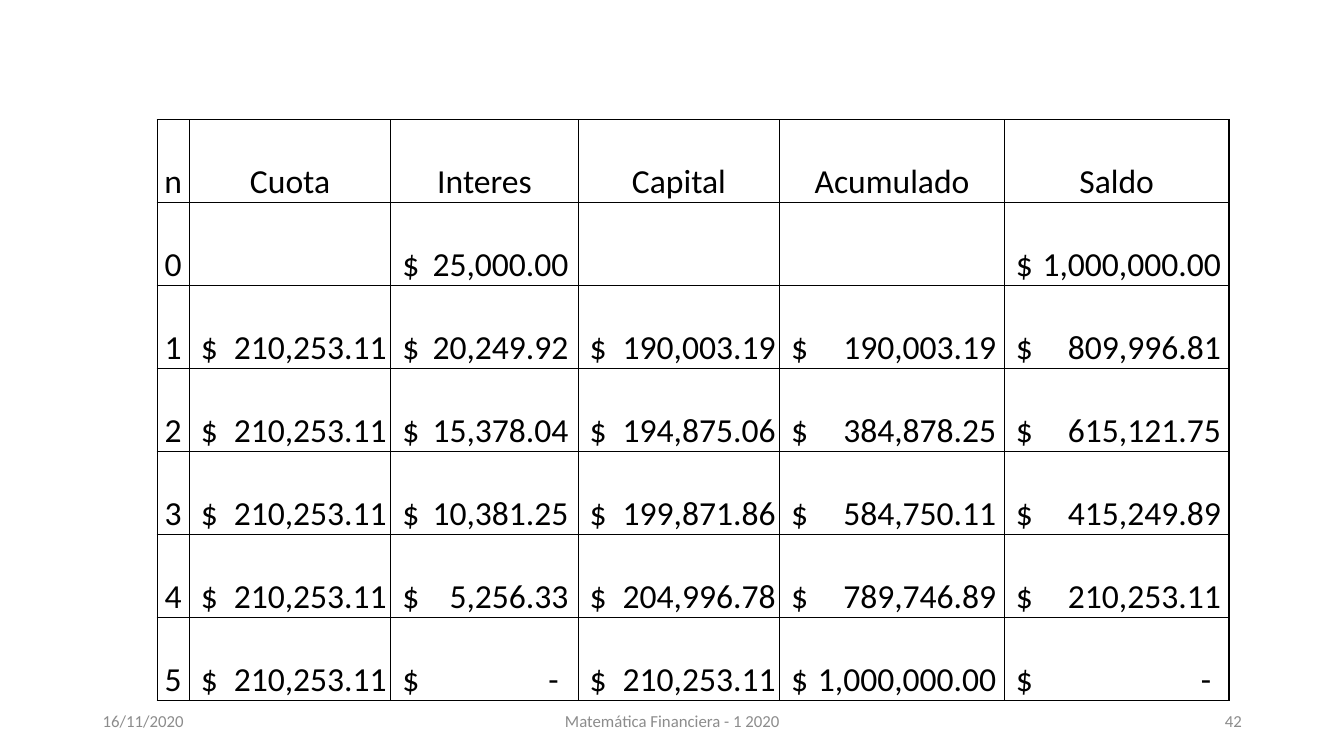
from dataclasses import dataclass

from lxml.etree import SubElement
from pptx import Presentation
from pptx.dml.color import RGBColor
from pptx.enum.text import MSO_ANCHOR, PP_ALIGN
from pptx.oxml.ns import qn
from pptx.slide import Slide
from pptx.table import _Cell
from pptx.text.text import _Paragraph
from pptx.util import Cm, Pt

FONT = "Calibri"
INK = "000000"
FOOTER_GREY = "8C8C8C"
CELL_INSET = 0.03
CURRENCY_INSET = 0.29
DASH_INSET = 0.25
ROW_HEIGHT = 2.09
TABLE_LEFT, TABLE_TOP = 3.96, 3.02
FOOTER_TOP, FOOTER_HEIGHT = 17.65, 1.02


@dataclass(frozen=True)
class Column:
    heading: str
    width: float
    right_inset: float
    values: tuple[str, ...]


@dataclass(frozen=True)
class FooterItem:
    text: str
    left: float
    width: float
    alignment: PP_ALIGN


PAYMENT = "210,253.11"
COLUMNS = (
    Column("n", 0.81, 0, ("0", "1", "2", "3", "4", "5")),
    Column("Cuota", 5.08, 0.1, ("",) + (PAYMENT,) * 5),
    Column("Interes", 4.72, 0.24,
           ("25,000.00", "20,249.92", "15,378.04", "10,381.25", "5,256.33", "-")),
    Column("Capital", 5.08, 0.1,
           ("", "190,003.19", "194,875.06", "199,871.86", "204,996.78", PAYMENT)),
    Column("Acumulado", 5.66, 0.2,
           ("", "190,003.19", "384,878.25", "584,750.11", "789,746.89", "1,000,000.00")),
    Column("Saldo", 5.66, 0.2,
           ("1,000,000.00", "809,996.81", "615,121.75", "415,249.89", PAYMENT, "-")),
)
FOOTER = (
    FooterItem("16/11/2020", 2.34, 7.62, PP_ALIGN.LEFT),
    FooterItem("Matemática Financiera - 1 2020", 11.23, 11.43, PP_ALIGN.CENTER),
    FooterItem("42", 23.93, 7.62, PP_ALIGN.RIGHT),
)


def color(code: str) -> RGBColor:
    return RGBColor.from_string(code)


def style(paragraph: _Paragraph, size: float, ink: str) -> None:
    paragraph.font.name = FONT
    paragraph.font.size = Pt(size)
    paragraph.font.color.rgb = color(ink)


def format_cell(cell: _Cell) -> None:
    properties = cell._tc.get_or_add_tcPr()
    for side in ("a:lnL", "a:lnR", "a:lnT", "a:lnB"):
        border = SubElement(properties, qn(side), w=str(Pt(1)))
        SubElement(SubElement(border, qn("a:solidFill")), qn("a:srgbClr"), val=INK)
    cell.fill.background()
    cell.vertical_anchor = MSO_ANCHOR.BOTTOM
    cell.margin_left = cell.margin_right = cell.margin_top = Cm(CELL_INSET)
    cell.margin_bottom = 0


def write_label(cell: _Cell, label: str) -> None:
    paragraph = cell.text_frame.paragraphs[0]
    paragraph.text = label
    paragraph.alignment = PP_ALIGN.CENTER
    paragraph.line_spacing = 2.0
    style(paragraph, 24, INK)


def write_amount(cell: _Cell, amount: str, column: Column) -> None:
    cell.margin_left = Cm(CURRENCY_INSET)
    cell.margin_right = 0
    paragraph = cell.text_frame.paragraphs[0]
    paragraph.text = f"$\t{amount}"
    paragraph.alignment = PP_ALIGN.LEFT
    paragraph.line_spacing = 2.0
    right_inset = column.right_inset + (DASH_INSET if amount == "-" else 0)
    stop = Cm(column.width - CURRENCY_INSET - right_inset)
    tabs = SubElement(paragraph._p.get_or_add_pPr(), qn("a:tabLst"))
    SubElement(tabs, qn("a:tab"), pos=str(stop), algn="r")
    style(paragraph, 24, INK)


def add_amortization(slide: Slide) -> None:
    row_count = len(COLUMNS[0].values) + 1
    table = slide.shapes.add_table(
        row_count, len(COLUMNS), Cm(TABLE_LEFT), Cm(TABLE_TOP),
        Cm(sum(column.width for column in COLUMNS)), Cm(ROW_HEIGHT * row_count),
    ).table
    table.first_row = False
    table.horz_banding = False
    for row in table.rows:
        row.height = Cm(ROW_HEIGHT)
    for column_index, column in enumerate(COLUMNS):
        table.columns[column_index].width = Cm(column.width)
        for row_index, value in enumerate((column.heading, *column.values)):
            cell = table.cell(row_index, column_index)
            format_cell(cell)
            if row_index == 0 or column_index == 0:
                write_label(cell, value)
            elif value:
                write_amount(cell, value, column)


def add_footer(slide: Slide, item: FooterItem) -> None:
    frame = slide.shapes.add_textbox(
        Cm(item.left), Cm(FOOTER_TOP), Cm(item.width), Cm(FOOTER_HEIGHT)
    ).text_frame
    frame.word_wrap = True
    frame.vertical_anchor = MSO_ANCHOR.MIDDLE
    paragraph = frame.paragraphs[0]
    paragraph.text = item.text
    paragraph.alignment = item.alignment
    style(paragraph, 12, FOOTER_GREY)


def main() -> None:
    presentation = Presentation()
    presentation.slide_width = Cm(33.87)
    presentation.slide_height = Cm(19.05)
    slide = presentation.slides.add_slide(presentation.slide_layouts[6])
    for item in FOOTER:
        add_footer(slide, item)
    add_amortization(slide)
    presentation.save("out.pptx")


if __name__ == "__main__":
    main()
